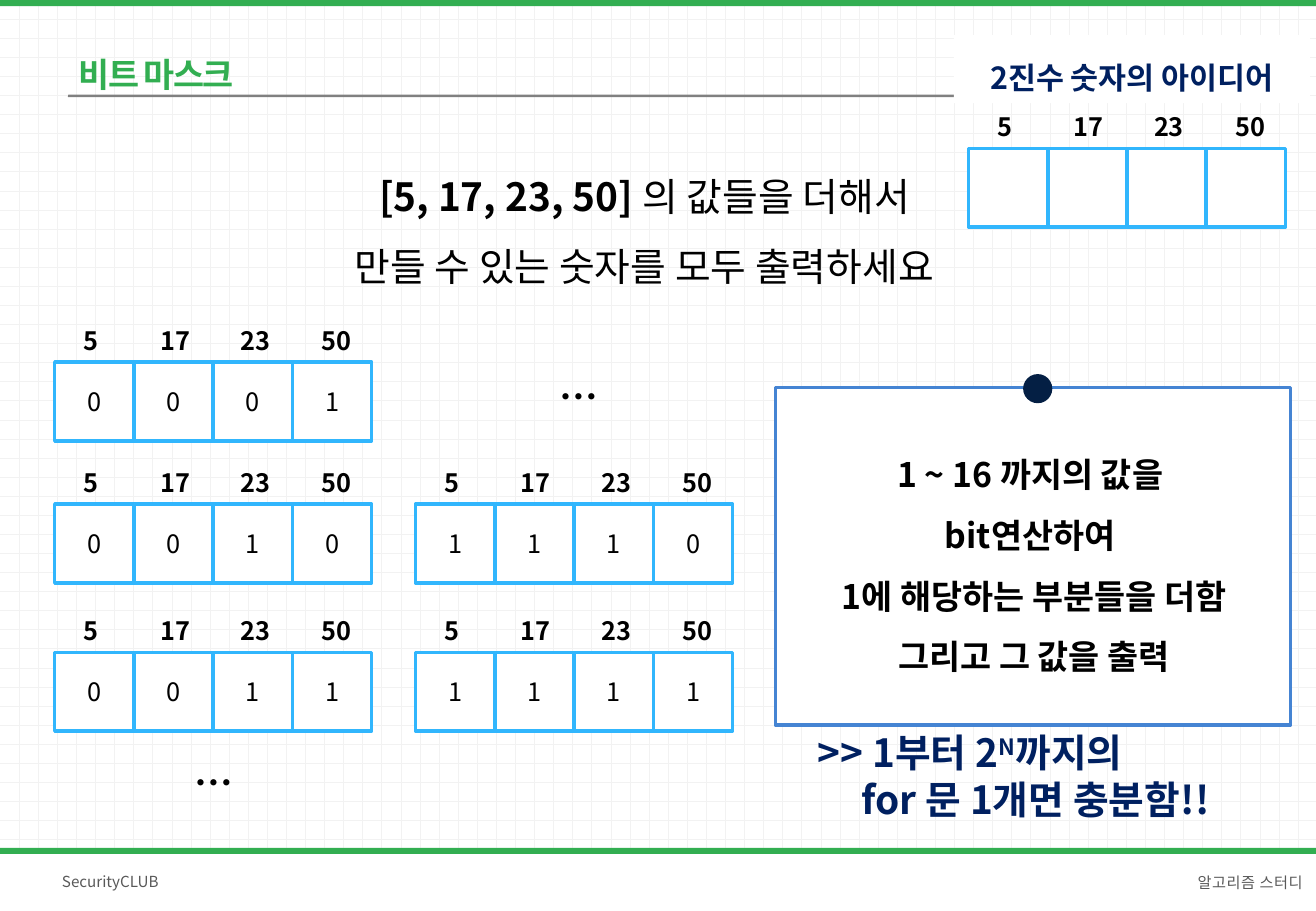
from lxml import etree
from pptx import Presentation
from pptx import util as u
from pptx.dml.color import RGBColor
from pptx.enum import dml, shapes, text
from pptx.oxml import ns

FONT = "Noto Sans CJK KR"
GREEN = RGBColor(0x32, 0xAE, 0x51)
RULE_GRAY = RGBColor(0x80, 0x80, 0x80)
FOOTER_GRAY = RGBColor(0x59, 0x59, 0x59)
GRID_GRAY = RGBColor(0xF2, 0xF2, 0xF2)
WHITE = RGBColor(0xFF, 0xFF, 0xFF)
BLACK = RGBColor(0x00, 0x00, 0x00)
CELL_BLUE = RGBColor(0x31, 0xB6, 0xFD)
CARD_BLUE = RGBColor(0x45, 0x84, 0xD3)
PIN_NAVY = RGBColor(0x04, 0x1F, 0x44)
NAVY = RGBColor(0x00, 0x20, 0x60)

CENTER = {"alignment": text.PP_ALIGN.CENTER}
SPACED = {**CENTER, "line_spacing": 1.5}
MIDDLE = {"vertical_anchor": text.MSO_ANCHOR.MIDDLE}
GROW = {"auto_size": text.MSO_AUTO_SIZE.SHAPE_TO_FIT_TEXT}
PADDING = {
    "margin_left": u.Inches(0.12), "margin_right": u.Inches(0.12),
    "margin_top": u.Inches(0.06), "margin_bottom": u.Inches(0.06),
}

CELL = 0.65
CELL_STEP = 0.653
LABELS = (("5", -0.06), ("17", 0.63), ("23", 1.29), ("50", 1.96))
BIT_ROWS = (
    (7.97, 1.22, ("", "", "", "")),
    (0.45, 2.98, "0001"),
    (0.45, 4.15, "0010"),
    (0.45, 5.37, "0011"),
    (3.42, 4.15, "1110"),
    (3.42, 5.37, "1111"),
)


def apply(target, values):
    """Set each named attribute of the target."""
    for name, value in values.items():
        setattr(target, name, value)


def font_of(size, color=BLACK, bold=False):
    """Return a font format with the given size, colour and weight."""
    return {"size": u.Pt(size), "bold": bold, "color": color}


def add_span(para, words, font, **marks):
    """Add a run with its font format and raw run attributes."""
    span = para.add_run()
    span.text = words
    apply(span.font, {"name": FONT, "size": font["size"], "bold": font["bold"]})
    span.font.color.rgb = font["color"]
    properties = span.font._element
    etree.SubElement(properties, ns.qn("a:ea"), typeface=FONT)
    for name, value in marks.items():
        properties.set(name, value)


def write(box, lines, font, layout=SPACED, frame=GROW):
    """Fill a shape with lines, each a list of (words, font changes, marks)."""
    apply(box.text_frame, {"word_wrap": True, **frame})
    for index, spans in enumerate(lines):
        para = box.text_frame.add_paragraph() if index else box.text_frame.paragraphs[0]
        apply(para, layout)
        for words, changes, marks in spans:
            add_span(para, words, {**font, **changes}, **marks)


def plain(*lines, **marks):
    """Return lines of one unchanged span each."""
    return [[(line, {}, marks)] for line in lines]


def add_text(parent, place, lines, font, layout=SPACED, frame=GROW):
    """Add a text box and write its lines."""
    box = parent.shapes.add_textbox(*map(u.Inches, place))
    write(box, lines, font, layout, frame)
    return box


def add_block(parent, place, fill, line=None, kind=shapes.MSO_SHAPE.RECTANGLE):
    """Add a flat preset shape with an optional outline."""
    block = parent.shapes.add_shape(kind, *map(u.Inches, place))
    block.shadow.inherit = False
    block.fill.solid()
    block.fill.fore_color.rgb = fill
    if line is None:
        block.line.fill.background()
    else:
        block.line.color.rgb = line
        block.line.width = u.Pt(2)
    return block


def add_bit_row(page, left, top, bits):
    """Add a group of bit cells with a number above each."""
    group = page.shapes.add_group_shape()
    for index, bit in enumerate(bits):
        place = (left + index * CELL_STEP, top, CELL, CELL)
        cell = add_block(group, place, WHITE, CELL_BLUE)
        if bit:
            write(cell, plain(bit), font_of(15), CENTER, MIDDLE)
    for number, offset in LABELS:
        place = (left + offset, top - 0.48, 0.72, 0.48)
        add_text(group, place, plain(number), font_of(15, bold=True))


def add_header_and_footer(page):
    """Add the title, the coloured bars and the footer."""
    add_text(page, (0.53, 0.05, 5.13, 0.68), plain("비트 마스크", spc="-100"),
             font_of(20, GREEN, True),
             {"line_spacing": 2.0, "space_before": u.Pt(6)}, {**PADDING, **GROW})
    add_block(page, (0, 0, 10.88, 0.05), GREEN)
    add_block(page, (0.56, 0.78, 9.49, 0.02), RULE_GRAY,
              kind=shapes.MSO_SHAPE.ROUNDED_RECTANGLE)
    add_block(page, (0, 6.98, 10.83, 0.52), WHITE)
    add_block(page, (0, 6.98, 10.83, 0.05), GREEN)
    footer, frame = font_of(9, FOOTER_GRAY), {**PADDING, **MIDDLE}
    add_text(page, (0.39, 7.02, 1.97, 0.47), plain("SecurityCLUB"), footer,
             {"space_before": u.Pt(5)}, frame)
    add_text(page, (8.38, 7.06, 2.46, 0.37), plain("알고리즘 스터디", spc="30"), footer,
             {"alignment": text.PP_ALIGN.RIGHT, "line_spacing": 1.3}, frame)


def add_card(page):
    """Add the pinned card that explains the bit operation."""
    card = page.shapes.add_group_shape()
    add_block(card, (6.38, 3.19, 4.24, 2.78), WHITE, CARD_BLUE)
    add_text(card, (6.63, 3.52, 3.76, 2.12),
             plain("1 ~ 16 까지의 값을 ", "bit연산하여 ", "1에 해당하는 부분들을 더함",
                   "그리고 그 값을 출력"),
             font_of(20, bold=True))
    add_block(card, (8.42, 3.08, 0.24, 0.24), PIN_NAVY, kind=shapes.MSO_SHAPE.OVAL)


def add_conclusion(page):
    """Add the closing remark with its indented second line."""
    lines = [
        [(">> 1부터 2", {}, {}), ("N", {}, {"baseline": "30000"}), ("까지의", {}, {})],
        *plain("for 문 1개면 충분함!!"),
    ]
    box = add_text(page, (6.63, 5.95, 3.95, 0.88), lines, font_of(23, NAVY, True), {})
    indented = box.text_frame.paragraphs[1]._p.get_or_add_pPr()
    indented.set("marL", str(u.Inches(0.36)))


def main():
    """Build the bit mask slide and save it."""
    deck = Presentation()
    apply(deck, {"slide_width": u.Inches(10.83), "slide_height": u.Inches(7.5)})
    page = deck.slides.add_slide(deck.slide_layouts[6])
    backdrop = page.background.fill
    backdrop.patterned()
    backdrop.pattern = dml.MSO_PATTERN.DOTTED_GRID
    backdrop.fore_color.rgb = GRID_GRAY
    backdrop.back_color.rgb = WHITE

    add_header_and_footer(page)
    task = [
        [("[5, 17, 23, 50] ", {"bold": True}, {}), ("의 값들을 더해서", {}, {})],
        *plain("만들 수 있는 숫자를 모두 출력하세요"),
    ]
    add_text(page, (0.47, 1.18, 9.67, 1.26), task, font_of(23))
    for left, top, bits in BIT_ROWS:
        add_bit_row(page, left, top, bits)
    for left, top in ((1.45, 6.01), (4.45, 2.83)):
        add_text(page, (left, top, 0.63, 0.68), plain("…"), font_of(23, bold=True))
    add_card(page)
    add_conclusion(page)
    idea = add_block(page, (7.85, 0.29, 2.93, 0.56), WHITE)
    write(idea, plain("2진수 숫자의 아이디어"), font_of(18, NAVY, True),
          frame={**GROW, "vertical_anchor": text.MSO_ANCHOR.TOP})
    deck.save("out.pptx")


main()
